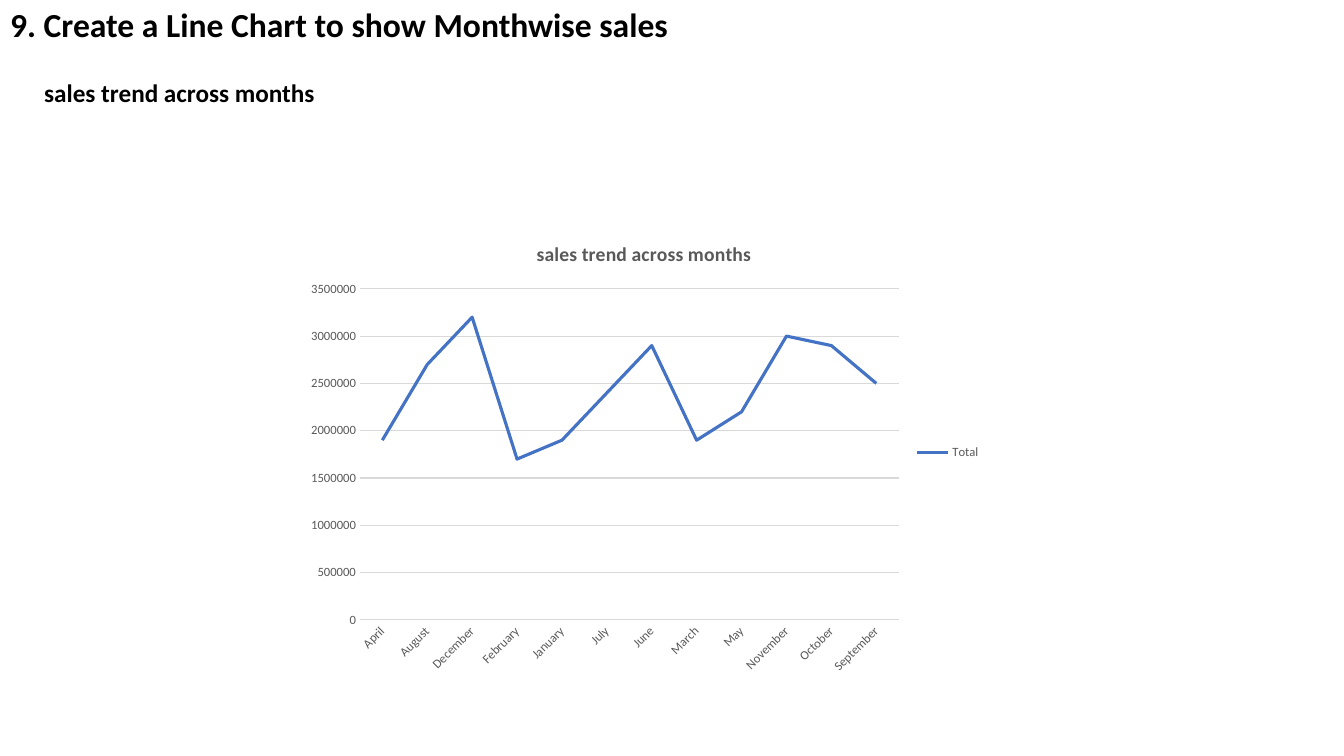
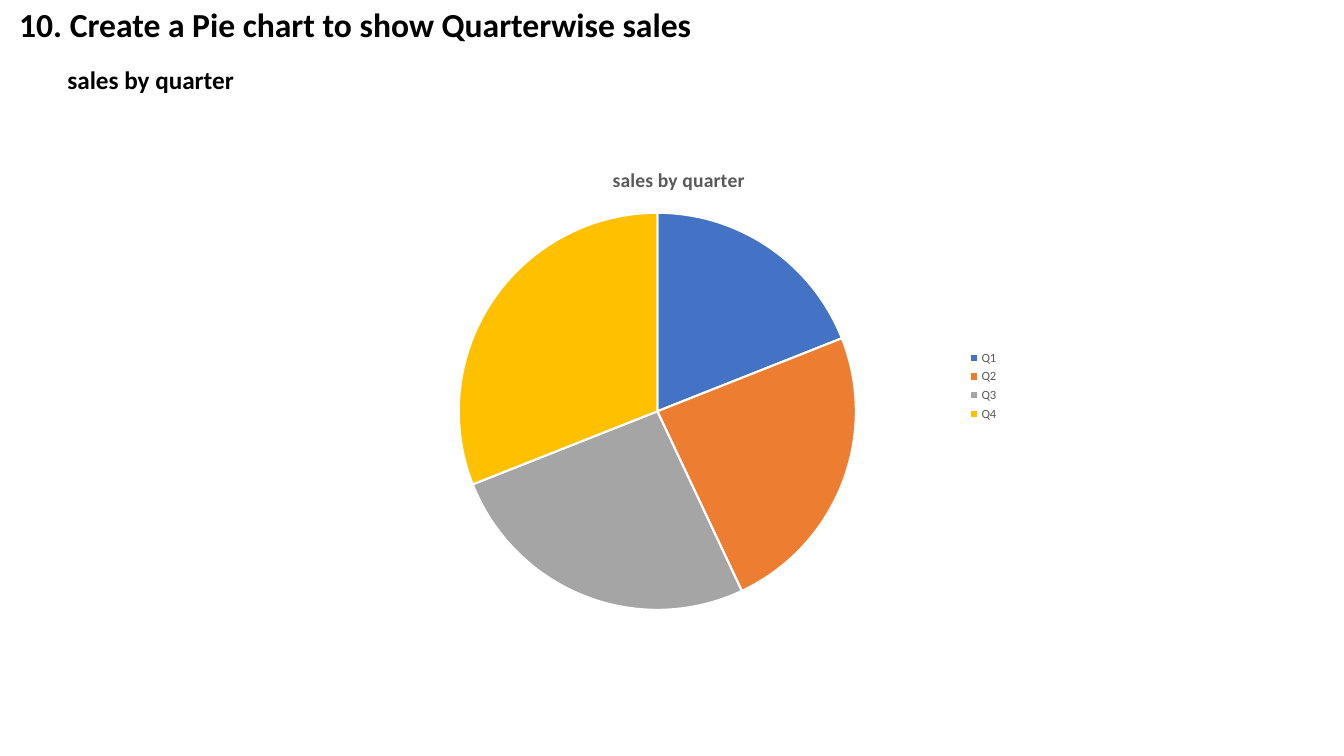
from pptx import Presentation
from pptx.chart.data import CategoryChartData
from pptx.dml.color import RGBColor
from pptx.enum import chart as ch, text as tx
from pptx.util import Pt

FONT = "Calibri"
BLACK, GREY, RULE, WHITE = "000000", "595959", "D9D9D9", "FFFFFF"
BLUE, ORANGE, SILVER, GOLD = "4472C4", "ED7D31", "A5A5A5", "FFC000"

MONTHLY_SALES = {
    "April": 1900000, "August": 2700000, "December": 3200000,
    "February": 1700000, "January": 1900000, "July": 2400000,
    "June": 2900000, "March": 1900000, "May": 2200000,
    "November": 3000000, "October": 2900000, "September": 2500000,
}
QUARTER_SALES = {"Q1": 19, "Q2": 24, "Q3": 26, "Q4": 31}


def rgb(code):
    return RGBColor.from_string(code)


def points(box):
    return [Pt(length) for length in box]


def style_font(font, size, color=GREY, bold=False):
    font.name, font.size, font.bold = FONT, Pt(size), bold
    font.color.rgb = rgb(color)


def style_line(line, color, width):
    line.color.rgb = rgb(color)
    line.width = Pt(width)


def write(frame, content, size, color=BLACK, bold=True, align=tx.PP_ALIGN.LEFT,
          anchor=tx.MSO_ANCHOR.TOP, wrap=True, spacing=1.0):
    """Fill a text frame with one formatted paragraph."""
    frame.auto_size = tx.MSO_AUTO_SIZE.NONE
    frame.word_wrap = wrap
    frame.vertical_anchor = anchor
    paragraph = frame.paragraphs[0]
    paragraph.alignment = align
    paragraph.line_spacing = spacing
    run = paragraph.add_run()
    run.text = content
    style_font(run.font, size, color, bold)


def add_titled_slide(prs, heading, heading_box, subheading, subheading_box):
    slide = prs.slides.add_slide(prs.slide_layouts[5])
    title = slide.shapes.title
    title.left, title.top, title.width, title.height = points(heading_box)
    write(title.text_frame, heading, 24, anchor=tx.MSO_ANCHOR.MIDDLE, spacing=0.9)
    label = slide.shapes.add_textbox(*points(subheading_box))
    write(label.text_frame, subheading, 18, align=tx.PP_ALIGN.CENTER, wrap=False)
    return slide


def add_sales_chart(slide, kind, box, title, series_name, sales):
    """Add a one-series chart with a title and a legend on the right."""
    data = CategoryChartData(number_format="General")
    data.categories = list(sales)
    data.add_series(series_name, list(sales.values()))
    chart = slide.shapes.add_chart(kind, *points(box), data).chart
    style_font(chart.font, 10, BLACK)
    chart.has_title = True
    write_title = chart.chart_title.text_frame.paragraphs[0].add_run()
    write_title.text = title
    style_font(write_title.font, 14, bold=True)
    chart.chart_title.include_in_layout = False
    chart.has_legend = True
    chart.legend.position = ch.XL_LEGEND_POSITION.RIGHT
    chart.legend.include_in_layout = False
    style_font(chart.legend.font, 9)
    return chart


def style_axes(chart):
    for axis in (chart.category_axis, chart.value_axis):
        axis.major_tick_mark = axis.minor_tick_mark = ch.XL_TICK_MARK.NONE
        style_font(axis.tick_labels.font, 9)
    months, amounts = chart.category_axis, chart.value_axis
    style_line(months.format.line, RULE, 0.75)
    slanted = months._element.txPr.bodyPr
    slanted.set("rot", "-2700000")
    slanted.set("vert", "horz")
    amounts.minimum_scale, amounts.maximum_scale = 0, 3500000
    amounts.major_unit = 500000
    amounts.format.line.fill.background()
    amounts.has_major_gridlines = True
    style_line(amounts.major_gridlines.format.line, RULE, 0.75)


def add_month_slide(prs):
    trend = "sales trend across months"
    slide = add_titled_slide(
        prs, "9. Create a Line Chart to show Monthwise sales", (0, 0, 489.6, 38),
        trend, (23.8, 51.8, 208.8, 29))
    chart = add_sales_chart(slide, ch.XL_CHART_TYPE.LINE, (212.4, 158.4, 495.4, 329.8),
                            trend, "Total", MONTHLY_SALES)
    style_axes(chart)
    chart.plots[0].vary_by_categories = False
    total = chart.plots[0].series[0]
    total.smooth = False
    style_line(total.format.line, BLUE, 2.25)


def add_quarter_slide(prs):
    split = "sales by quarter"
    slide = add_titled_slide(
        prs, "10. Create a Pie chart to show Quarterwise sales", (6.5, 5.8, 751.7, 26.6),
        split, (40.3, 42.5, 134.6, 29))
    chart = add_sales_chart(slide, ch.XL_CHART_TYPE.PIE, (249.1, 105.8, 471.6, 339.8),
                            split, "Series 1", QUARTER_SALES)
    chart.plots[0].vary_by_categories = True
    quarters = chart.plots[0].series[0].points
    for index, color in enumerate((BLUE, ORANGE, SILVER, GOLD)):
        wedge = quarters[index].format
        wedge.fill.solid()
        wedge.fill.fore_color.rgb = rgb(color)
        style_line(wedge.line, WHITE, 1.5)


def main():
    prs = Presentation()
    prs.slide_width, prs.slide_height = Pt(960), Pt(540)
    add_month_slide(prs)
    add_quarter_slide(prs)
    prs.save("out.pptx")


if __name__ == "__main__":
    main()
